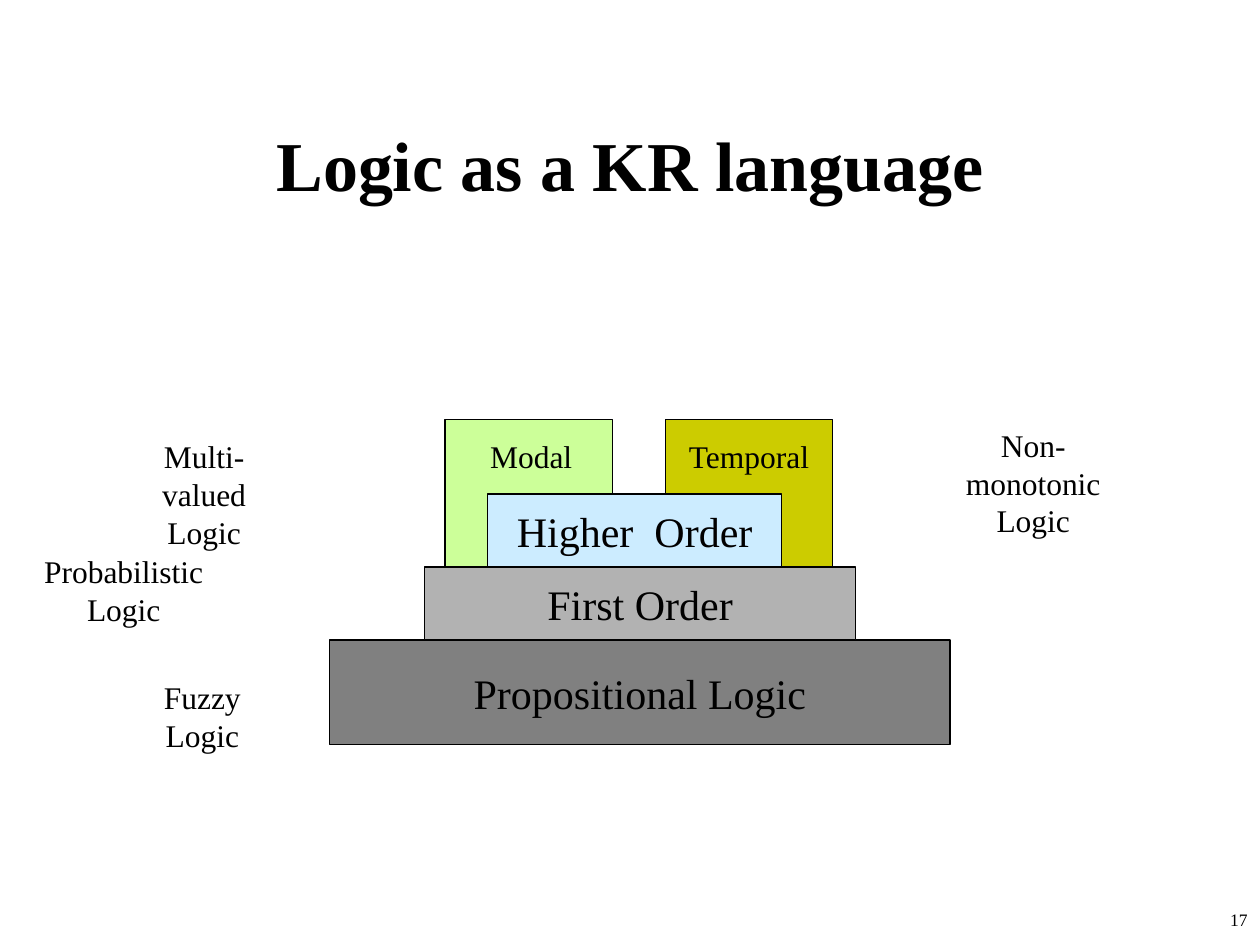
from pptx import Presentation
from pptx.dml.color import RGBColor
from pptx.enum.shapes import MSO_SHAPE
from pptx.enum.text import MSO_ANCHOR, PP_ALIGN
from pptx.util import Cm, Pt

RECTANGLE = MSO_SHAPE.RECTANGLE
TOP, MIDDLE = MSO_ANCHOR.TOP, MSO_ANCHOR.MIDDLE
LEFT, CENTER, RIGHT = PP_ALIGN.LEFT, PP_ALIGN.CENTER, PP_ALIGN.RIGHT

FONT = "Times New Roman"
BLACK = RGBColor(0x00, 0x00, 0x00)
DARK_GRAY = RGBColor(0x80, 0x80, 0x80)
LIGHT_GRAY = RGBColor(0xB2, 0xB2, 0xB2)
PALE_BLUE = RGBColor(0xCC, 0xEC, 0xFF)
PALE_GREEN = RGBColor(0xCC, 0xFF, 0x99)
OLIVE = RGBColor(0xCC, 0xCC, 0x00)

# Content, with lengths in centimetres
TITLE = "Logic as a KR language"
PAGE_NUMBER = "17"

# Towers behind the stack: left, colour
TOWERS = [(13.41, OLIVE), (8.97, PALE_GREEN)]
TOWER_WIDTH, TOWER_HEIGHT = 3.38, 2.97

# Layers from the bottom up: text, left, width, height, colour
LAYERS = [
    ("Propositional Logic", 6.65, 12.5, 2.11, DARK_GRAY),
    ("First Order", 8.56, 8.69, 1.47, LIGHT_GRAY),
    ("Higher  Order", 9.83, 5.93, 1.47, PALE_BLUE),
]
STACK_BOTTOM = 15.01

# Labels: lines, left, top, width, alignment
LABELS = [
    (["Modal"], 9.63, 8.69, 2.16, LEFT),
    (["Temporal"], 13.64, 8.69, 2.97, LEFT),
    (["Fuzzy", "Logic"], 3.05, 13.54, 2.06, CENTER),
    (["Multi-valued", "Logic"], 2.21, 8.69, 3.81, CENTER),
    (["Probabilistic", "Logic"], 0.64, 11, 3.71, CENTER),
    (["Non-monotonic", "Logic"], 18.57, 8.46, 4.52, CENTER),
]
LINE_HEIGHT, LABEL_PADDING = 0.76, 0.26


def write_text(shape, lines, size=18, bold=False, align=CENTER, anchor=MIDDLE, wrap=False):
    frame = shape.text_frame
    frame.word_wrap = wrap
    frame.vertical_anchor = anchor
    frame.text = "\n".join(lines)
    for paragraph in frame.paragraphs:
        paragraph.alignment = align
        font = paragraph.runs[0].font
        font.name, font.size, font.bold = FONT, Pt(size), bold
        font.color.rgb = BLACK


def add_block(slide, left, top, width, height, color):
    block = slide.shapes.add_shape(RECTANGLE, Cm(left), Cm(top), Cm(width), Cm(height))
    block.shadow.inherit = False
    block.fill.solid()
    block.fill.fore_color.rgb = color
    block.line.color.rgb = BLACK
    block.line.width = Pt(0.75)
    return block


def main():
    presentation = Presentation()
    presentation.slide_width, presentation.slide_height = Cm(25.4), Cm(19.05)
    slide = presentation.slides.add_slide(presentation.slide_layouts[5])

    # Title
    title = slide.shapes.title
    title.left, title.top, title.width, title.height = Cm(1.9), Cm(1.7), Cm(21.6), Cm(3.18)
    write_text(title, [TITLE], size=40, bold=True, wrap=True)

    # Towers stand on the first-order layer
    tower_bottom = STACK_BOTTOM - LAYERS[0][3] - LAYERS[1][3]
    for left, color in TOWERS:
        add_block(slide, left, tower_bottom - TOWER_HEIGHT, TOWER_WIDTH, TOWER_HEIGHT, color)

    # Stack of layers
    top = STACK_BOTTOM
    for text, left, width, height, color in LAYERS:
        top -= height
        write_text(add_block(slide, left, top, width, height, color), [text], size=24)

    # Labels
    for lines, left, top, width, align in LABELS:
        height = LINE_HEIGHT * len(lines) + LABEL_PADDING
        label = slide.shapes.add_textbox(Cm(left), Cm(top), Cm(width), Cm(height))
        write_text(label, lines, align=align, anchor=TOP)

    # Page number
    number = slide.shapes.add_textbox(Cm(20.12), Cm(18.21), Cm(5.28), Cm(0.84))
    write_text(number, [PAGE_NUMBER], size=10, align=RIGHT, anchor=TOP, wrap=True)

    presentation.save("out.pptx")


if __name__ == "__main__":
    main()
